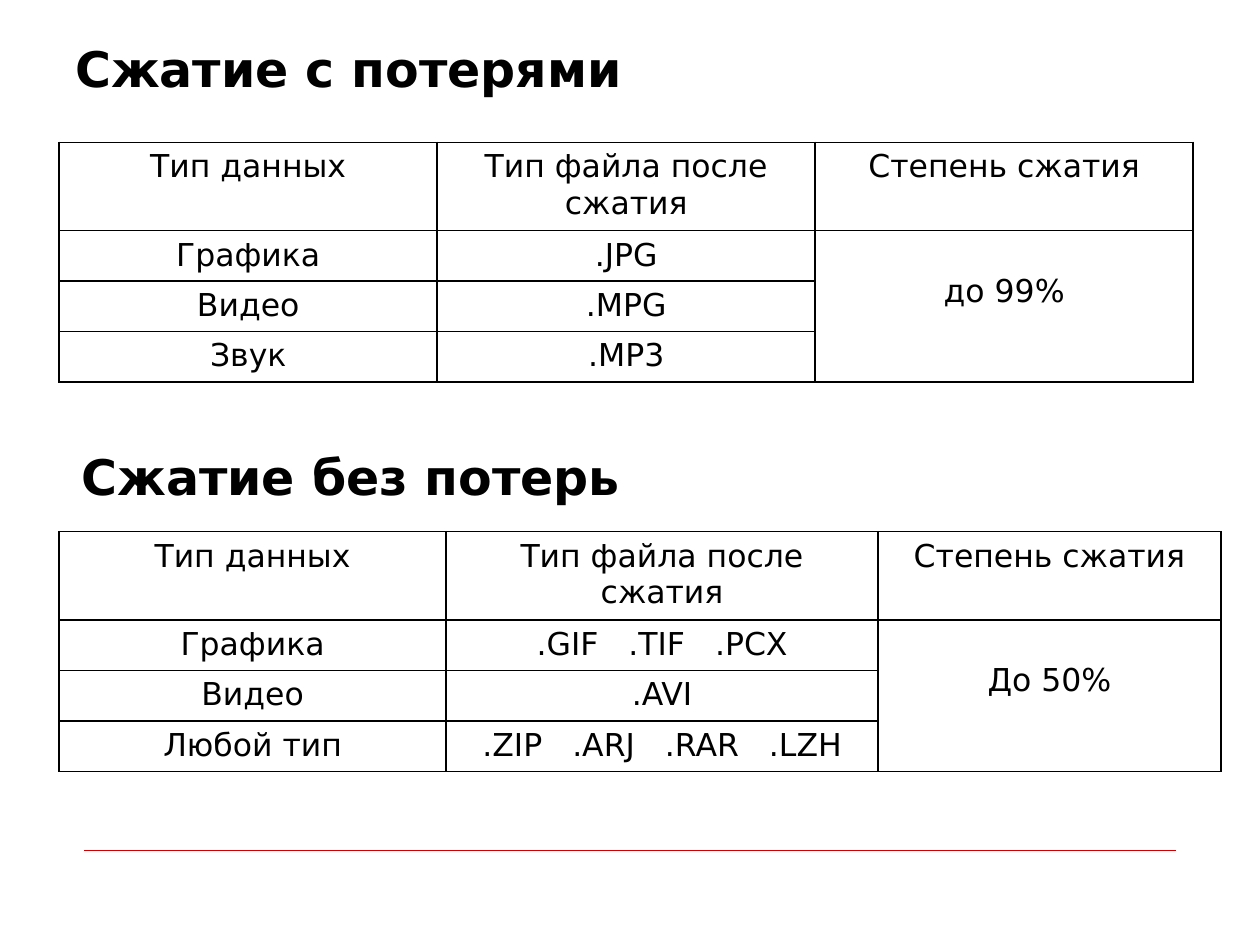
from lxml import etree
from pptx import Presentation
from pptx.dml.color import RGBColor
from pptx.enum.shapes import MSO_CONNECTOR
from pptx.enum.text import MSO_ANCHOR as Anchor, PP_ALIGN as Align
from pptx.oxml.ns import qn
from pptx.util import Inches, Pt

FONT = "DejaVu Sans"
COLORS = {"text": "000000", "border": "000000", "cell": "FFFFFF", "rule": "CC0000"}
HEADER = ["Тип данных", "Тип файла после сжатия", "Степень сжатия"]
ROW_HEIGHT = 0.4
EXTENSION_GAP = 11.4  # points added after each space between extensions

LOSSY = [
    ("Графика", ".JPG"),
    ("Видео", ".MPG"),
    ("Звук", ".MP3"),
]
LOSSLESS = [
    ("Графика", ".GIF .TIF .PCX"),
    ("Видео", ".AVI"),
    ("Любой тип", ".ZIP .ARJ .RAR .LZH"),
]


def color(name):
    return RGBColor.from_string(COLORS[name])


def style(para, size, bold=False):
    para.font.name = FONT
    para.font.size = Pt(size)
    para.font.bold = bold
    para.font.color.rgb = color("text")


def add_heading(page, text, left, top, anchor):
    box = page.shapes.add_textbox(Inches(left), Inches(top), Inches(9), Inches(0.52))
    frame = box.text_frame
    frame.word_wrap = True
    frame.vertical_anchor = anchor
    frame.text = text
    style(frame.paragraphs[0], 28, bold=True)


def add_borders(cell):
    """Draw a 1 pt line on all four sides; lines must precede the cell fill."""
    properties = cell._tc.get_or_add_tcPr()
    for index, side in enumerate(("a:lnL", "a:lnR", "a:lnT", "a:lnB")):
        line = etree.Element(qn(side), w=str(Pt(1)))
        fill = etree.SubElement(line, qn("a:solidFill"))
        etree.SubElement(fill, qn("a:srgbClr"), val=COLORS["border"])
        properties.insert(index, line)


def fill_cell(cell, text):
    """Write centred text, widening the gaps between file extensions."""
    para = cell.text_frame.paragraphs[0]
    para.alignment = Align.CENTER
    style(para, 18)
    if text.startswith("."):
        for index, extension in enumerate(text.split()):
            if index:
                gap = para.add_run()
                gap.text = " "
                gap._r.get_or_add_rPr().set("spc", str(round(EXTENSION_GAP * 100)))
            para.add_run().text = extension
    else:
        para.add_run().text = text


def add_compression_table(page, top, widths, header_height, rows, ratio):
    """Add a table whose last column holds one ratio for all data rows."""
    heights = [header_height] + [ROW_HEIGHT] * len(rows)
    frame = page.shapes.add_table(
        len(heights), len(widths), Inches(0.47), Inches(top),
        Inches(sum(widths)), Inches(sum(heights)))
    table = frame.table
    table.first_row = table.horz_banding = False
    for column, width in zip(table.columns, widths):
        column.width = Inches(width)
    for row, height in zip(table.rows, heights):
        row.height = Inches(height)
    for cell in table.iter_cells():
        cell.fill.solid()
        cell.fill.fore_color.rgb = color("cell")
        add_borders(cell)

    for row_index, texts in enumerate([HEADER, *rows]):
        for column_index, text in enumerate(texts):
            fill_cell(table.cell(row_index, column_index), text)
    ratio_cell = table.cell(1, 2)
    ratio_cell.merge(table.cell(len(rows), 2))
    ratio_cell.margin_top = Inches(0.34)
    fill_cell(ratio_cell, ratio)


def add_rule(page, left, right, y):
    rule = page.shapes.add_connector(
        MSO_CONNECTOR.STRAIGHT, Inches(left), Inches(y), Inches(right), Inches(y))
    rule.line.color.rgb = color("rule")
    rule.line.width = Pt(0.25)
    etree.SubElement(rule._element.spPr, qn("a:effectLst"))


def main():
    deck = Presentation()
    deck.slide_width, deck.slide_height = Inches(10), Inches(7.5)
    page = deck.slides.add_slide(deck.slide_layouts[6])

    add_rule(page, 0.67, 9.33, 6.75)
    add_heading(page, "Сжатие с потерями", 0.5, 0.3, Anchor.BOTTOM)
    add_compression_table(page, 1.13, [3, 3, 3], 0.7, LOSSY, "до 99%")
    add_compression_table(page, 4.22, [3.07, 3.43, 2.72], 0.64, LOSSLESS, "До 50%")
    add_heading(page, "Сжатие без потерь", 0.55, 3.52, Anchor.MIDDLE)

    deck.save("out.pptx")


if __name__ == "__main__":
    main()
